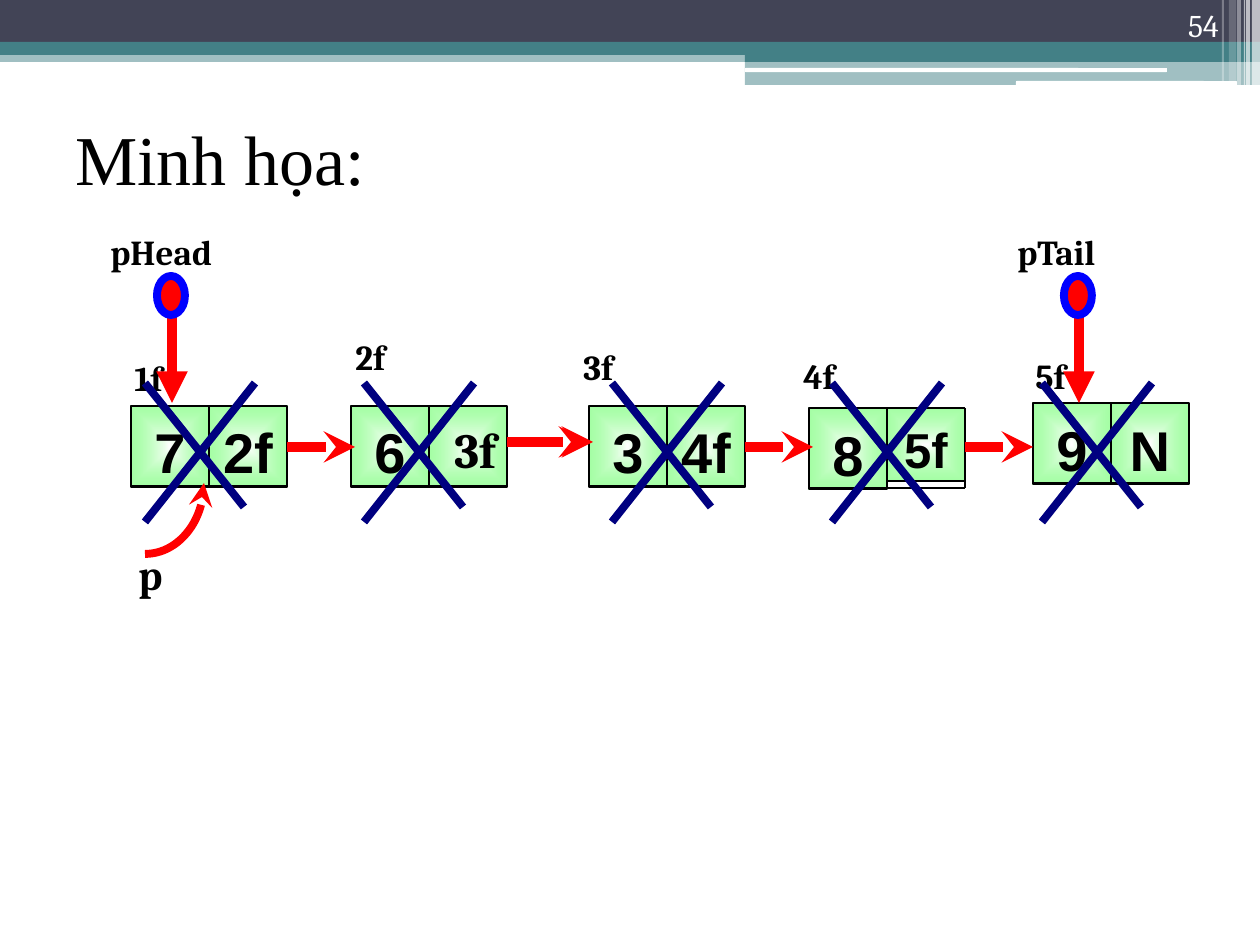
from math import cos, pi, sin

from lxml.etree import SubElement
from pptx import Presentation
from pptx.dml.color import RGBColor
from pptx.enum.shapes import MSO_CONNECTOR, MSO_SHAPE
from pptx.enum.text import MSO_ANCHOR as ANCHOR, PP_ALIGN as ALIGN
from pptx.oxml import parse_xml
from pptx.oxml.ns import nsdecls, qn
from pptx.util import Emu, Pt

PX = 914400 // 126
COLORS = {
    "slate": "424456", "teal": "438086", "white": "FFFFFF", "black": "000000",
    "green": "69FF69", "red": "FF0000", "blue": "0000FF", "navy": "000080",
}
RECT, ROUND = MSO_SHAPE.RECTANGLE, MSO_SHAPE.ROUNDED_RECTANGLE

# shape, left, top, width, height, color, opacity in percent
BANNER = [
    (RECT, 0, 50, 1260, 12, "teal", 50),
    (RECT, 0, 0, 1260, 42, "slate", 100),
    (RECT, 0, 42, 1260, 13, "teal", 100),
    (RECT, 745, 49, 515, 13, "teal", 100),
    (RECT, 745, 61, 515, 24, "teal", 50),
    (ROUND, 745, 68, 422, 4, "white", 100),
    (ROUND, 1016, 81, 221, 5, "white", 100),
    (RECT, 1252, 0, 8, 85, "white", 65),
    (RECT, 1246, 0, 4, 85, "white", 65),
    (RECT, 1244, 0, 1, 85, "white", 60),
    (RECT, 1237, 0, 4, 85, "white", 40),
    (RECT, 1229, 0, 7, 81, "white", 20),
    (RECT, 1222, 0, 2, 81, "white", 30),
]
# left, top, value, next address, next cell height, next text size
NODES = [
    (131, 406, "7", "2f", 81, 32),
    (351, 406, "6", "", 81, 32),
    (589, 406, "3", "4f", 81, 32),
    (809, 408, "8", "5f", 73, 28),
    (1033, 403, "9", "N", 81, 32),
]
CELL_W, CELL_H = 78, 81
# from x, to x, y, dash
LINKS = [
    (287, 355, 447, None), (507, 590, 442, None), (745, 813, 447, None),
    (965, 1033, 447, None), (510, 593, 442, "sysDot"),
]
# text, left, top, width, height, size
LABELS = [
    ("1f", 122, 350, 64, 54, 20), ("2f", 343, 329, 64, 54, 20),
    ("3f", 571, 339, 64, 54, 20), ("4f", 791, 348, 64, 54, 20),
    ("5f", 1023, 348, 64, 54, 20), ("3f", 442, 413, 73, 131, 28),
    ("p", 126, 542, 45, 63, 24),
]
POINTERS = [("pHead", 98), ("pTail", 1005)]
CROSSES = [145, 364, 612, 832, 1042]
CROSS_TOP = 383

prs = Presentation()
prs.slide_width, prs.slide_height = Emu(1260 * PX), Emu(945 * PX)
slide = prs.slides.add_slide(prs.slide_layouts[6])
shapes = slide.shapes


def px(*lengths):
    return [Emu(round(length * PX)) for length in lengths]


def rgb(name):
    return RGBColor.from_string(COLORS[name])


def add_block(kind, box, color, opacity=100):
    block = shapes.add_shape(kind, *px(*box))
    block.shadow.inherit = False
    block.fill.solid()
    block.fill.fore_color.rgb = rgb(color)
    if opacity < 100:
        tint = block.fill._xPr.find(qn("a:solidFill"))[0]
        SubElement(tint, qn("a:alpha"), val=str(opacity * 1000))
    block.line.fill.background()
    return block


def style_line(line, color, width, head=None, dash=None):
    line.color.rgb = rgb(color)
    line.width = Pt(width)
    ln = line._get_or_add_ln()
    if dash:
        SubElement(ln, qn("a:prstDash"), val=dash)
    if head:
        SubElement(ln, qn("a:tailEnd"), type=head)


def add_line(start, end, color, width, head=None, dash=None):
    line = shapes.add_connector(MSO_CONNECTOR.STRAIGHT, *px(*start, *end))
    style_line(line.line, color, width, head, dash)
    SubElement(line._element.spPr, qn("a:effectLst"))


def write(frame, text, size, font="Cambria", color="black", bold=True,
          align=ALIGN.LEFT, anchor=ANCHOR.TOP):
    frame.text = text
    frame.word_wrap = True
    frame.vertical_anchor = anchor
    paragraph = frame.paragraphs[0]
    paragraph.alignment = align
    for run in paragraph.runs:
        run.font.name, run.font.size, run.font.bold = font, Pt(size), bold
        run.font.color.rgb = rgb(color)


def add_text(text, box, size, **style):
    write(shapes.add_textbox(*px(*box)).text_frame, text, size, **style)


def add_cell(left, top, height, text, size):
    cell = add_block(RECT, (left, top, CELL_W, height), "white")
    solid = cell.fill._xPr.find(qn("a:solidFill"))
    glow = parse_xml(
        f'<a:gradFill {nsdecls("a")}><a:gsLst>'
        f'<a:gs pos="0"><a:srgbClr val="{COLORS["white"]}"/></a:gs>'
        f'<a:gs pos="100000"><a:srgbClr val="{COLORS["green"]}">'
        '<a:alpha val="60000"/></a:srgbClr></a:gs></a:gsLst>'
        '<a:path path="shape"><a:fillToRect l="50000" t="50000" r="50000" '
        'b="50000"/></a:path></a:gradFill>')
    solid.getparent().replace(solid, glow)
    style_line(cell.line, "black", 0.75)
    frame = cell.text_frame
    frame.margin_left = frame.margin_right = frame.margin_bottom = 0
    frame.margin_top = px(12)[0]
    if text:
        write(frame, text, size, "Arial", align=ALIGN.CENTER)


def add_node(left, top, value, address, address_h, address_size):
    add_cell(left + CELL_W, top, address_h, address, address_size)
    add_cell(left, top, CELL_H, value, 32)
    right, bottom = left + 2 * CELL_W, top + CELL_H - 1
    for y in (top, bottom):
        add_line((left, y), (right, y), "black", 0.75)
    for x in (left, left + CELL_W, right):
        add_line((x, top), (x, bottom), "black", 0.75)


def add_pointer(name, left):
    add_line((left + 74, 314), (left + 74, 403), "red", 6, "triangle")
    knob = add_block(MSO_SHAPE.OVAL, (left + 59, 276, 28, 39), "red")
    style_line(knob.line, "blue", 4.5)
    add_text(name, (left, 224, 146, 54), 20)


def add_curved_arrow(left, top, width, height, steps=24):
    """Quarter ellipse from bottom left up to top right."""
    angles = [pi / 2 * step / steps for step in range(steps + 1)]
    points = [(left + width * sin(a), top + height * cos(a)) for a in angles]
    builder = shapes.build_freeform(*px(*points[0]))
    builder.add_line_segments([px(*point) for point in points[1:]], close=False)
    curve = builder.convert_to_shape()
    curve.shadow.inherit = False
    curve.fill.background()
    style_line(curve.line, "red", 4.5, "stealth")


for kind, *box, color, opacity in BANNER:
    add_block(kind, box, color, opacity)
for node in NODES:
    add_node(*node)
for start, end, y, dash in LINKS:
    add_line((start, y), (end, y), "red", 6, "stealth", dash)
for text, *box, size in LABELS:
    add_text(text, box, size)
for name, left in POINTERS:
    add_pointer(name, left)
add_curved_arrow(145, 483, 59, 71)
for left in CROSSES:
    add_line((left, CROSS_TOP), (left + 99, 507), "navy", 4.5)
    add_line((left + 110, CROSS_TOP), (left, 522), "navy", 4.5)
add_text("Minh họa:", (63, 84, 1134, 147), 40, font="Times New Roman",
         bold=False, anchor=ANCHOR.MIDDLE)
add_text("54", (1126, 0, 105, 50), 18, color="white", bold=False,
         align=ALIGN.RIGHT, anchor=ANCHOR.BOTTOM)

prs.save("out.pptx")
